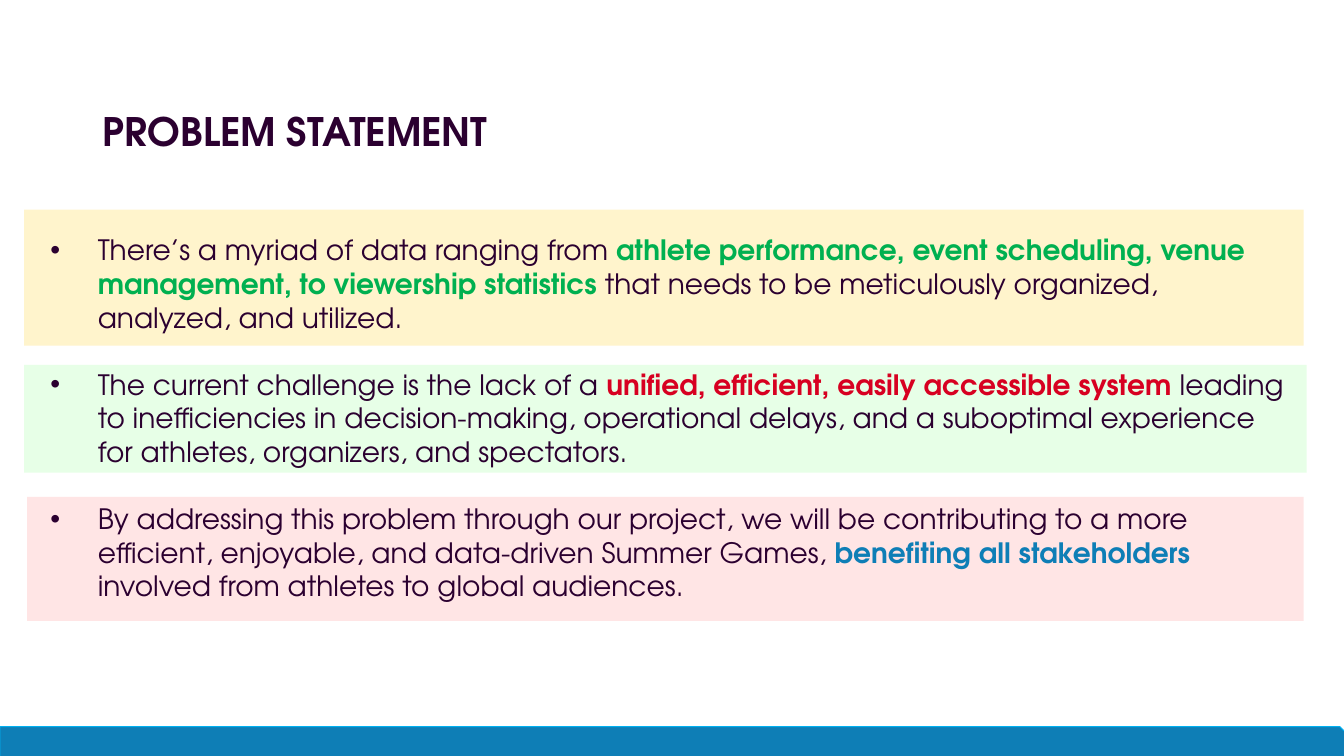
import pptx
import pptx.dml.color
import pptx.enum.shapes
import pptx.enum.text
import pptx.util

Inches, Pt = pptx.util.Inches, pptx.util.Pt
RGB = pptx.dml.color.RGBColor.from_string
SHAPES = pptx.enum.shapes.MSO_SHAPE

TITLE = "PROBLEM STATEMENT"
POINTS = [
    [("There’s a myriad of data ranging from ", "text"),
     ("athlete performance, event scheduling, venue management, to viewership statistics ", "data"),
     ("that needs to be meticulously organized, analyzed, and utilized.", "text")],
    [("The current challenge is the lack of a ", "text"),
     ("unified, efficient, easily accessible system ", "challenge"),
     ("leading to inefficiencies in decision-making, operational delays, and a suboptimal "
      "experience for athletes, organizers, and spectators.", "text")],
    [("By addressing this problem through our project, we will be contributing to a more "
      "efficient, enjoyable, and data-driven Summer Games, ", "text"),
     ("benefiting all stakeholders ", "benefit"),
     ("involved from athletes to global audiences.", "text")],
]
PANELS = [
    ("pink", (0.27, 4.93, 12.66, 1.23)),
    ("green", (0.24, 3.62, 12.72, 1.07)),
    ("yellow", (0.24, 2.08, 12.69, 1.35)),
]
FOOTER_BAND = (0, 7.21, 13.34, 0.3)
TITLE_BOX = (1.02, 1.12, 9.28, 0.21)
POINTS_BOX = (0.4, 2.26, 12.55, 4.11)

THEME = {
    "font": "TeX Gyre Adventor", "title_size": Pt(28), "body_size": Pt(20),
    "text": "2B0030", "data": "00B050", "challenge": "D70021", "benefit": "0E7EB6",
    "pink": "FFE5E5", "green": "E7FFE7", "yellow": "FFF4CC",
    "band": "0E7EB6", "band_line": "00B0F0",
}


def set_all(target, values):
    for name, value in values.items():
        setattr(target, name, value)


def add_block(page, kind, bounds, colour):
    block = page.shapes.add_shape(kind, *map(Inches, bounds))
    block.shadow.inherit = False
    block.fill.solid()
    block.fill.fore_color.rgb = RGB(THEME[colour])
    block.line.fill.background()
    return block


def place(page, box, bounds):
    page.shapes._spTree.append(box._element)
    set_all(box, dict(zip(("left", "top", "width", "height"), map(Inches, bounds))))
    set_all(box.text_frame, {
        "word_wrap": True,
        "auto_size": pptx.enum.text.MSO_AUTO_SIZE.NONE,
        "vertical_anchor": pptx.enum.text.MSO_ANCHOR.TOP,
    })
    return box.text_frame


def add_span(para, words, size, colour, bold):
    span = para.add_run()
    span.text = words
    set_all(span.font, {"name": THEME["font"], "size": size, "bold": bold})
    span.font.color.rgb = RGB(THEME[colour])


def main():
    deck = pptx.Presentation()
    set_all(deck, {"slide_width": Inches(13.33), "slide_height": Inches(7.5)})
    page = deck.slides.add_slide(deck.slide_layouts[1])

    for colour, bounds in PANELS:
        add_block(page, SHAPES.RECTANGLE, bounds, colour)
    band = add_block(page, SHAPES.SNIP_1_RECTANGLE, FOOTER_BAND, "band")
    band.line.color.rgb = RGB(THEME["band_line"])
    band.line.width = Pt(0.75)

    heading = place(page, page.shapes.title, TITLE_BOX)
    set_all(heading, {"margin_left": 0, "margin_top": 0,
                      "margin_right": Inches(0.07), "margin_bottom": Inches(0.03)})
    para = heading.paragraphs[0]
    set_all(para, {"alignment": pptx.enum.text.PP_ALIGN.LEFT, "line_spacing": 0.9})
    add_span(para, TITLE, THEME["title_size"], "text", True)

    body = place(page, page.placeholders[1], POINTS_BOX)
    for number, point in enumerate(POINTS):
        para = body.add_paragraph() if number else body.paragraphs[0]
        para.space_before = Pt(24 if number else 0)
        indent = Inches(0.47)
        properties = para._p.get_or_add_pPr()
        properties.set("marL", str(indent))
        properties.set("indent", str(-indent))
        for words, colour in point:
            add_span(para, words, THEME["body_size"], colour, colour != "text")

    deck.save("out.pptx")


if __name__ == "__main__":
    main()
